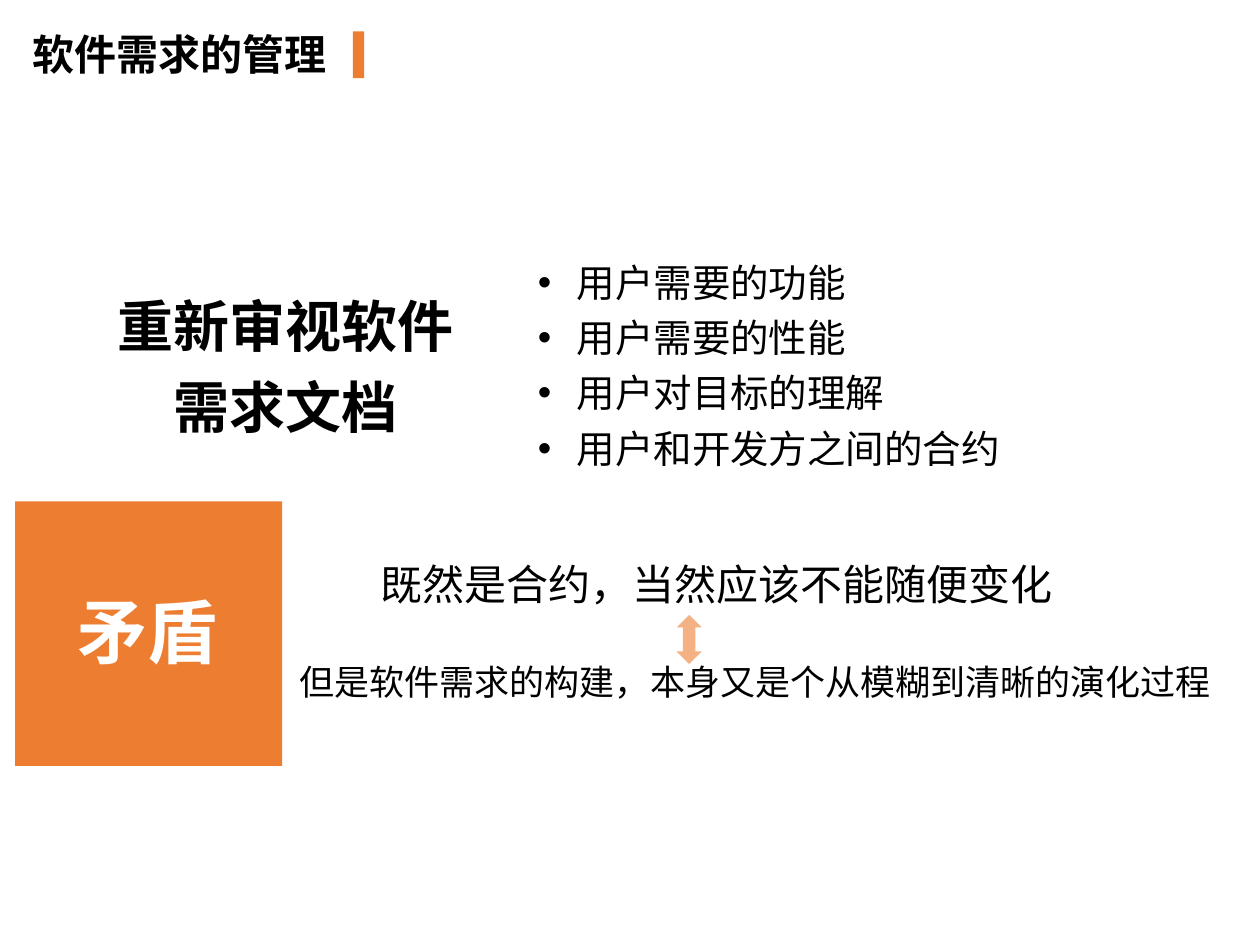
"""Builds a slide on managing software requirements."""
from lxml import etree
from pptx import Presentation
from pptx.dml.color import RGBColor
from pptx.enum.shapes import MSO_SHAPE
from pptx.enum.text import MSO_AUTO_SIZE, PP_ALIGN
from pptx.oxml.ns import qn
from pptx.util import Inches, Pt

RECTANGLE, DOUBLE_ARROW = MSO_SHAPE.RECTANGLE, MSO_SHAPE.UP_DOWN_ARROW
LEFT, CENTER, JUSTIFY = PP_ALIGN.LEFT, PP_ALIGN.CENTER, PP_ALIGN.JUSTIFY
GROW = MSO_AUTO_SIZE.SHAPE_TO_FIT_TEXT
FONT = "Noto Sans CJK SC"
COLORS = {"orange": "ED7D31", "peach": "F4B183", "black": "000000", "white": "FFFFFF"}


def add_block(slide, kind, box, color):
    shape = slide.shapes.add_shape(kind, *map(Inches, box))
    shape.shadow.inherit = False
    shape.fill.solid()
    shape.fill.fore_color.rgb = RGBColor.from_string(COLORS[color])
    shape.line.fill.background()


def add_text(slide, box, lines, size, color="black", bold=False, wrap=True,
             align=CENTER, spacing=None, bullet=False):
    frame = slide.shapes.add_textbox(*map(Inches, box)).text_frame
    frame.word_wrap = wrap
    frame.auto_size = GROW
    frame.text = "\n".join(lines)
    for paragraph in frame.paragraphs:
        for name, value in {"alignment": align, "line_spacing": spacing}.items():
            setattr(paragraph, name, value)
        font = paragraph.runs[0].font
        for name, value in {"name": FONT, "size": Pt(size), "bold": bold}.items():
            setattr(font, name, value)
        font.color.rgb = RGBColor.from_string(COLORS[color])
        run_properties = paragraph.runs[0]._r.get_or_add_rPr()
        etree.SubElement(run_properties, qn("a:ea"), typeface=FONT)
        if bullet:
            properties = paragraph._p.get_or_add_pPr()
            properties.set("marL", str(Inches(0.31)))
            properties.set("indent", str(-Inches(0.31)))
            etree.SubElement(properties, qn("a:buFont"), typeface="Arial")
            etree.SubElement(properties, qn("a:buChar"), char="•")


presentation = Presentation()
presentation.slide_width = Inches(10)
presentation.slide_height = Inches(7.5)
slide = presentation.slides.add_slide(presentation.slide_layouts[6])

add_block(slide, RECTANGLE, (0.12, 3.98, 2.12, 2.1), "orange")
add_block(slide, RECTANGLE, (2.8, 0.25, 0.09, 0.37), "orange")

document_roles = ["用户需要的功能", "用户需要的性能", "用户对目标的理解", "用户和开发方之间的合约"]
add_text(slide, (4.17, 1.93, 5, 1.82), document_roles, 22,
         align=JUSTIFY, spacing=1.2, bullet=True)
add_text(slide, (0.66, 2.16, 3.22, 1.39), ["重新审视软件需求文档"], 32, bold=True, spacing=1.2)
add_text(slide, (0.52, 4.75, 1.32, 0.64), ["矛盾"], 40, "white", bold=True, wrap=False,
         align=JUSTIFY, spacing=0.8)
add_text(slide, (2.89, 4.38, 5.59, 0.5), ["既然是合约，当然应该不能随便变化"], 24, wrap=False)
add_text(slide, (2.25, 5.19, 7.49, 0.44),
         ["但是软件需求的构建，本身又是个从模糊到清晰的演化过程"], 20, wrap=False)

add_block(slide, DOUBLE_ARROW, (5.37, 4.88, 0.2, 0.39), "peach")
add_text(slide, (0.16, 0.18, 3.42, 0.5), ["软件需求的管理"], 24, bold=True, align=LEFT)

presentation.save("out.pptx")
